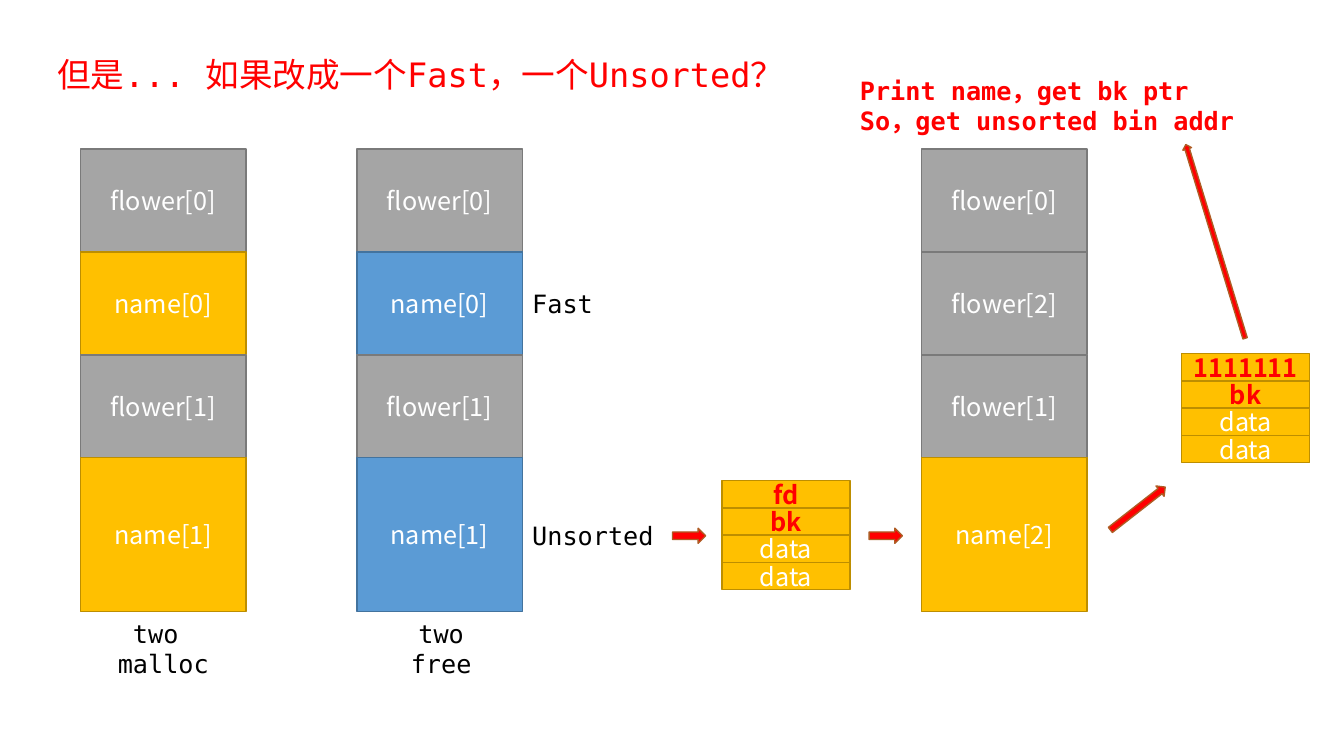
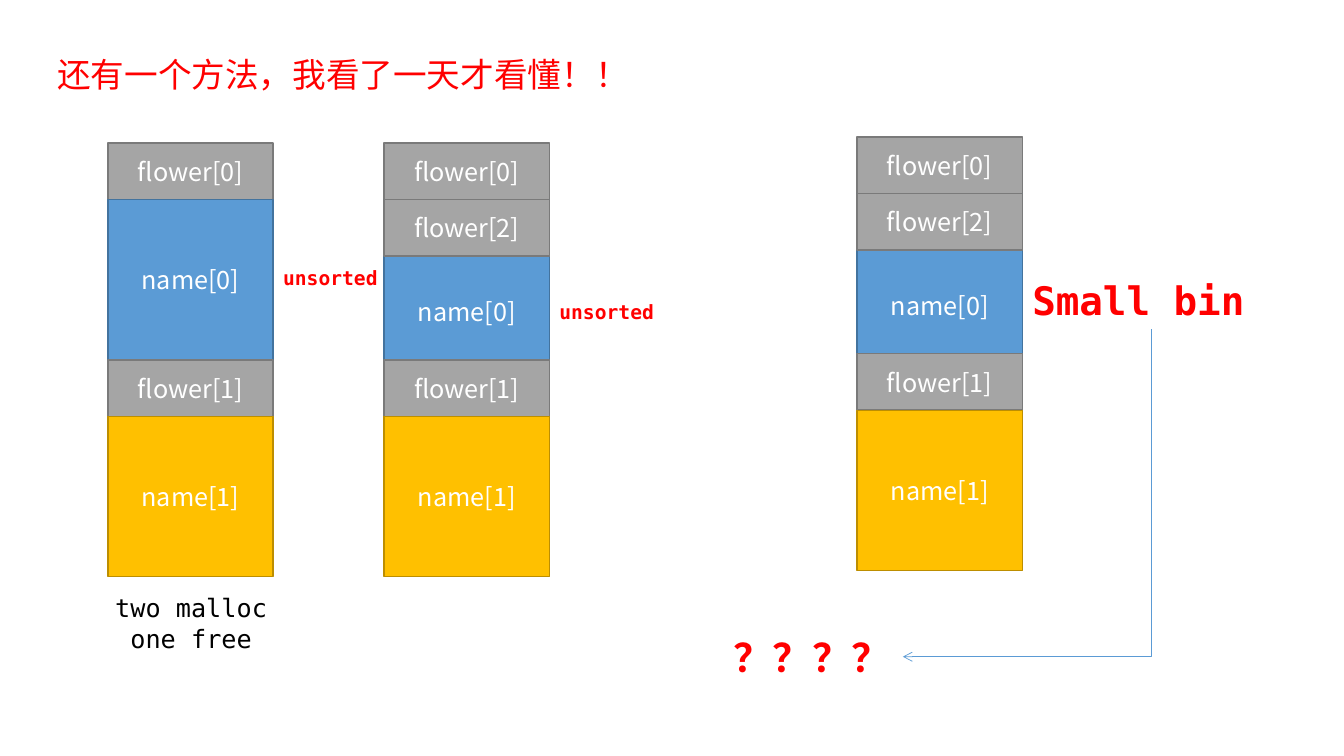
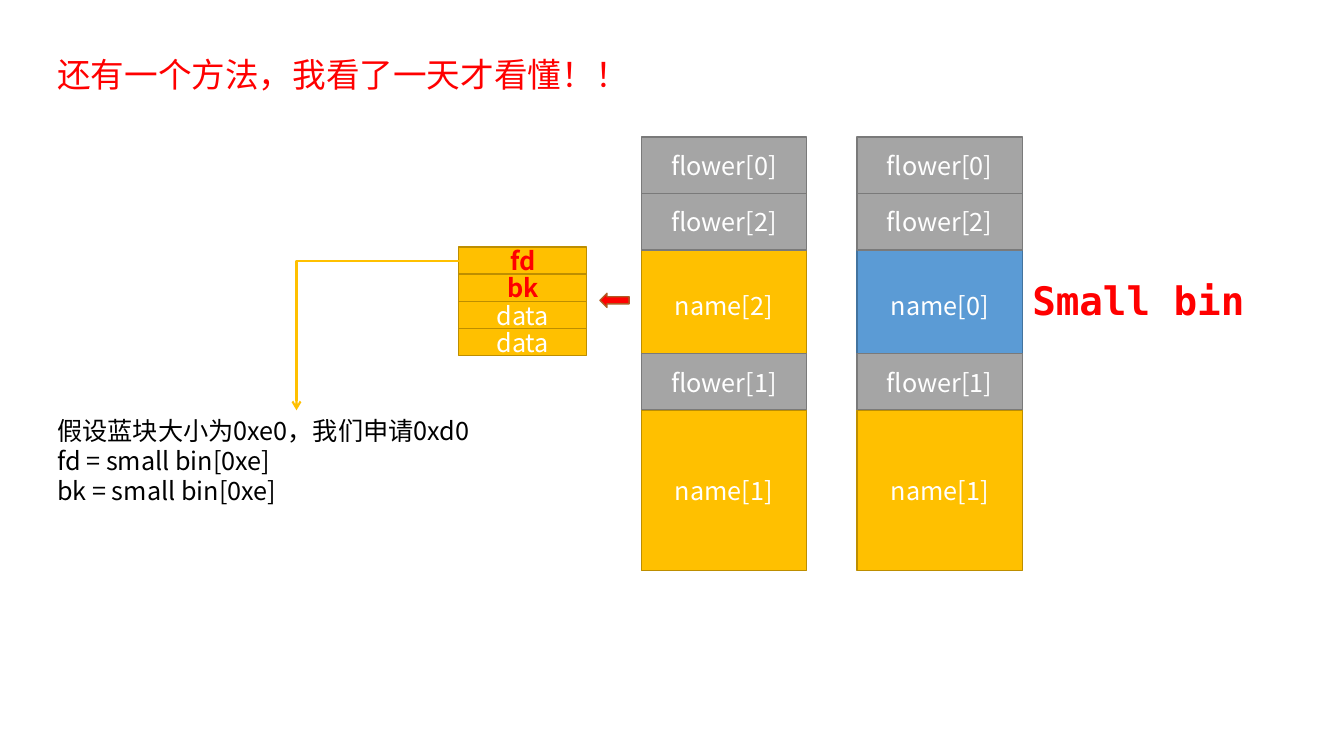
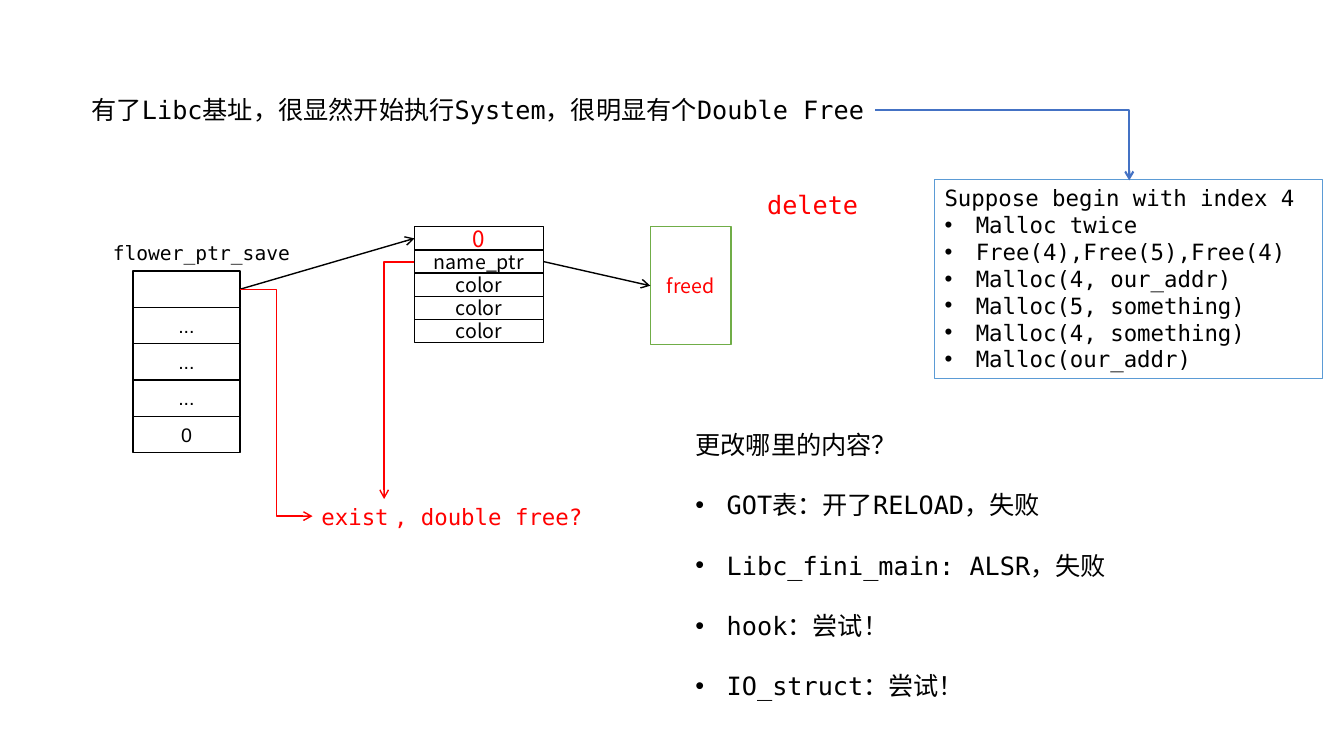
import pptx
import pptx.dml.color
import pptx.enum.shapes
import pptx.enum.text
import pptx.oxml
import pptx.oxml.ns
import pptx.util
from pptx.util import Inches

COLORS = {
    "red": "FF0000", "black": "000000", "white": "FFFFFF",
    "grey": "A5A5A5", "grey edge": "7A7A7A",
    "gold": "FFC000", "gold edge": "BD8E00",
    "blue": "5B9BD5", "blue edge": "43739E",
    "arrow edge": "AF5C24", "green": "70AD47", "royal": "4472C4",
}
# Fill and outline of each kind of memory block
KINDS = {
    "used": ("grey", "grey edge"),
    "name": ("gold", "gold edge"),
    "free": ("blue", "blue edge"),
    "plain": ("white", "black"),
    "released": ("white", "green"),
}
MONO = "DejaVu Sans Mono"
SANS = "Noto Sans CJK SC"
CHUNK_WIDTH = 1.64
FIELD_WIDTH = 1.27
FIELD_HEIGHT = 0.27
SMALL_CHUNK = 0.56
LARGE_CHUNK = 1.59

SHAPE = pptx.enum.shapes.MSO_SHAPE
CONNECTOR = pptx.enum.shapes.MSO_CONNECTOR
ALIGN = pptx.enum.text.PP_ALIGN
ANCHOR = pptx.enum.text.MSO_ANCHOR
qn = pptx.oxml.ns.qn


def rgb(name):
    return pptx.dml.color.RGBColor.from_string(COLORS[name])


def add_child(parent, tag, **attributes):
    child = parent.makeelement(qn(tag), attributes)
    parent.append(child)
    return child


def add_bullet(para):
    properties = para._p.get_or_add_pPr()
    indent = Inches(0.31)
    properties.set("marL", str(indent))
    properties.set("indent", str(-indent))
    add_child(properties, "a:buFont", typeface="Arial")
    add_child(properties, "a:buChar", char="•")


def write(frame, lines, size=18, font=SANS, color="black", bold=False,
          align=ALIGN.LEFT, bullets=False, gap=0):
    """One paragraph a line; with bullets, every line after the first has one."""
    frame.word_wrap = True
    for index, line in enumerate(lines):
        para = frame.add_paragraph() if index else frame.paragraphs[0]
        para.alignment = align
        if index and gap:
            para.space_before = pptx.util.Pt(gap)
        if index and bullets:
            add_bullet(para)
        span = para.add_run()
        span.text = line
        span.font.size = pptx.util.Pt(size)
        span.font.bold = bold
        span.font.name = font
        span.font.color.rgb = rgb(color)
        add_child(span.font._element, "a:ea", typeface=SANS)


def add_text(page, at, *lines, font=MONO, **style):
    box = page.shapes.add_textbox(*map(Inches, at))
    write(box.text_frame, lines, font=font, **style)


def add_title(page, text):
    add_text(page, (0.47, 0.49, 8.37, 0.5), text, size=24, color="red")


def add_figure(shapes, preset, at, fill, edge, width=1):
    figure = shapes.add_shape(preset, *map(Inches, at))
    figure.shadow.inherit = False
    if fill:
        figure.fill.solid()
        figure.fill.fore_color.rgb = rgb(fill)
    else:
        figure.fill.background()
    figure.line.color.rgb = rgb(edge)
    figure.line.width = pptx.util.Pt(width)
    return figure


def add_block(shapes, at, label, kind, color="white", **style):
    block = add_figure(shapes, SHAPE.RECTANGLE, at, *KINDS[kind])
    block.text_frame.vertical_anchor = ANCHOR.MIDDLE
    if label:
        write(block.text_frame, [label], color=color, align=ALIGN.CENTER, **style)
    return block


def add_stack(page, left, top, width, cells):
    """Group blocks downwards; a cell is (label, kind, height, text style)."""
    group = page.shapes.add_group_shape()
    blocks = []
    for label, kind, height, style in cells:
        at = (left, top, width, height)
        blocks.append(add_block(group.shapes, at, label, kind, **style))
        top += height
    return blocks


def add_chunks(page, left, top, heights, *chunks):
    cells = [(label, kind, height, {})
             for (label, kind), height in zip(chunks, heights)]
    return add_stack(page, left, top, CHUNK_WIDTH, cells)


def add_fields(page, left, top, first):
    """The inside of one chunk: two pointers in red, then data."""
    pointer = {"color": "red", "bold": True}
    add_stack(page, left, top, FIELD_WIDTH, [
        (label, "name", FIELD_HEIGHT, style)
        for label, style in ((first, pointer), ("bk", pointer),
                             ("data", {}), ("data", {}))])


def add_heap(page, left, top, middle="name[0]", kind="free", split=True):
    """Four chunks; when split, flower[2] takes the top of the second."""
    chunks = add_chunks(
        page, left, top, (SMALL_CHUNK, LARGE_CHUNK) * 2,
        ("flower[0]", "used"), (middle, kind),
        ("flower[1]", "used"), ("name[1]", "name"))
    if split:
        chunks[1].text_frame.margin_top = Inches(0.67)
        at = (left, top + SMALL_CHUNK, CHUNK_WIDTH, SMALL_CHUNK)
        add_block(page.shapes, at, "flower[2]", "used")


def add_block_arrow(page, at, turn=0, preset=SHAPE.RIGHT_ARROW):
    arrow = add_figure(page.shapes, preset, at, "red", "arrow edge")
    arrow.rotation = turn


def finish_connector(connector, color, width):
    connector.line.color.rgb = rgb(color)
    connector.line.width = pptx.util.Pt(width)
    add_child(connector.line._get_or_add_ln(), "a:tailEnd", type="arrow")
    add_child(connector._element.spPr, "a:effectLst")


def add_elbow(page, at, color, width, turn=0, flip=False, bends=1):
    left, top, across, down = map(Inches, at)
    connector = page.shapes.add_connector(
        CONNECTOR.ELBOW, left, top, left + across, top + down)
    properties = connector._element.spPr
    frame = properties.find(qn("a:xfrm"))
    if turn:
        frame.set("rot", str(turn * 60000))
    if flip:
        frame.set("flipV", "1")
    properties.find(qn("a:prstGeom")).set("prst", f"bentConnector{bends + 1}")
    finish_connector(connector, color, width)


def join(page, start, end):
    """Arrow from the right side of one block to the left side of another."""
    connector = page.shapes.add_connector(CONNECTOR.STRAIGHT, 0, 0, 0, 0)
    connector.begin_connect(start, 3)
    connector.end_connect(end, 1)
    finish_connector(connector, "black", 1)


def add_small_bin(page):
    add_heap(page, 8.5, 1.36)
    add_text(page, (10.14, 2.69, 2.55, 0.57), "Small bin",
             size=28, color="red", bold=True)


def build_fast_and_unsorted(page):
    add_title(page, "但是... 如果改成一个Fast，一个Unsorted？")
    add_text(page, (0.8, 6.08, 1.64, 0.71), "two ", "malloc", align=ALIGN.CENTER)
    add_text(page, (3.54, 6.08, 1.67, 0.71), "two", "free", align=ALIGN.CENTER)
    add_text(page, (5.18, 2.81, 1.12, 0.4), "Fast")
    add_text(page, (5.18, 5.11, 1.58, 0.4), "Unsorted")
    heights = (1.02, 1.02, 1.02, 1.53)
    for left, second, last in (
            (0.8, ("name[0]", "name"), ("name[1]", "name")),
            (3.54, ("name[0]", "free"), ("name[1]", "free")),
            (9.14, ("flower[2]", "used"), ("name[2]", "name"))):
        add_chunks(page, left, 1.48, heights, ("flower[0]", "used"), second,
                   ("flower[1]", "used"), last)
    add_fields(page, 7.16, 4.77, "fd")
    add_fields(page, 11.72, 3.51, "1111111")
    for left in (6.67, 8.62):
        add_block_arrow(page, (left, 5.24, 0.33, 0.15))
    add_block_arrow(page, (10.94, 4.98, 0.69, 0.13), turn=322)
    add_block_arrow(page, (11.05, 2.35, 2.01, 0.09), turn=253)
    add_text(page, (8.43, 0.7, 4.67, 0.71), "Print name，get bk ptr",
             "So，get unsorted bin addr", color="red", bold=True)


def build_small_bin(page):
    add_title(page, "还有一个方法，我看了一天才看懂！！")
    add_heap(page, 1.07, 1.42, split=False)
    add_heap(page, 3.81, 1.42)
    add_small_bin(page)
    add_text(page, (0.94, 5.83, 1.91, 0.71), "two malloc", "one free",
             align=ALIGN.CENTER)
    for left, top in ((2.71, 2.59), (5.45, 2.93)):
        add_text(page, (left, top, 1.64, 0.34), "unsorted",
                 size=14, color="red", bold=True)
    add_text(page, (7.18, 6.23, 1.78, 0.57), "？？？？",
             size=28, color="red", bold=True)
    add_elbow(page, (8.56, 3.66, 3.25, 2.46), "blue", 0.5, turn=90)


def build_bin_pointers(page):
    add_title(page, "还有一个方法，我看了一天才看懂！！")
    add_text(page, (0.47, 4.07, 4.94, 1.61), "假设蓝块大小为0xe0，我们申请0xd0",
             "fd = small bin[0xe]", "bk = small bin[0xe]", font=SANS)
    add_small_bin(page)
    add_heap(page, 6.36, 1.36, "name[2]", "name")
    add_fields(page, 4.55, 2.45, "fd")
    add_block_arrow(page, (5.95, 2.91, 0.29, 0.14), preset=SHAPE.LEFT_ARROW)
    add_elbow(page, (2.94, 2.59, 1.61, 1.48), "gold", 1.5, turn=180, flip=True)


def build_double_free(page):
    add_text(page, (0.81, 0.89, 7.86, 0.4),
             "有了Libc基址，很显然开始执行System，很明显有个Double Free")

    slot_style = {"size": 14, "font": "Arial", "color": "black"}
    slots = add_stack(page, 1.32, 2.69, 1.06, [
        (label, "plain", 0.36, slot_style)
        for label in ("", "...", "...", "...", "0")])
    add_text(page, (1.02, 2.34, 2.08, 0.34), "flower_ptr_save", size=14)

    member_style = {"size": 14, "color": "black"}
    members = add_stack(page, 4.11, 2.25, 1.28, [
        ("0", "plain", 0.23, {"size": 16, "color": "red"})] + [
        (label, "plain", 0.23, member_style)
        for label in ("name_ptr", "color", "color", "color")])
    freed = add_block(page.shapes, (6.45, 2.25, 0.8, 1.17), "freed", "released",
                      size=14, color="red")
    join(page, slots[0], members[0])
    join(page, members[1], freed)
    add_elbow(page, (2.38, 2.87, 0.72, 2.25), "red", 1, bends=2)
    add_elbow(page, (3.81, 2.6, 0.3, 2.35), "red", 1, turn=180, flip=True)
    add_text(page, (7.51, 1.83, 1.61, 0.4), "delete", color="red")
    add_text(page, (3.09, 4.94, 1.44, 0.37), "exist", size=16, color="red")
    add_text(page, (3.81, 4.94, 3.06, 0.37), ", double free?", size=16, color="red")

    add_text(page, (6.8, 4.21, 5.8, 2.83), "更改哪里的内容？",
             "GOT表：开了RELOAD，失败", "Libc_fini_main: ALSR，失败",
             "hook：尝试！", "IO_struct：尝试！", bullets=True, gap=21.5)
    steps = add_figure(page.shapes, SHAPE.RECTANGLE, (9.27, 1.78, 3.85, 1.98),
                       None, "blue", 0.75)
    steps.text_frame.vertical_anchor = ANCHOR.TOP
    write(steps.text_frame, (
        "Suppose begin with index 4", "Malloc twice", "Free(4),Free(5),Free(4)",
        "Malloc(4, our_addr)", "Malloc(5, something)", "Malloc(4, something)",
        "Malloc(our_addr)"), size=16, font=MONO, bullets=True)
    add_elbow(page, (8.68, 1.09, 2.52, 0.7), "royal", 1.5)


def main():
    deck = pptx.Presentation()
    deck.slide_width = Inches(13.33)
    deck.slide_height = Inches(7.5)
    for build in (build_fast_and_unsorted, build_small_bin,
                  build_bin_pointers, build_double_free):
        build(deck.slides.add_slide(deck.slide_layouts[6]))
    deck.save("out.pptx")


if __name__ == "__main__":
    main()
